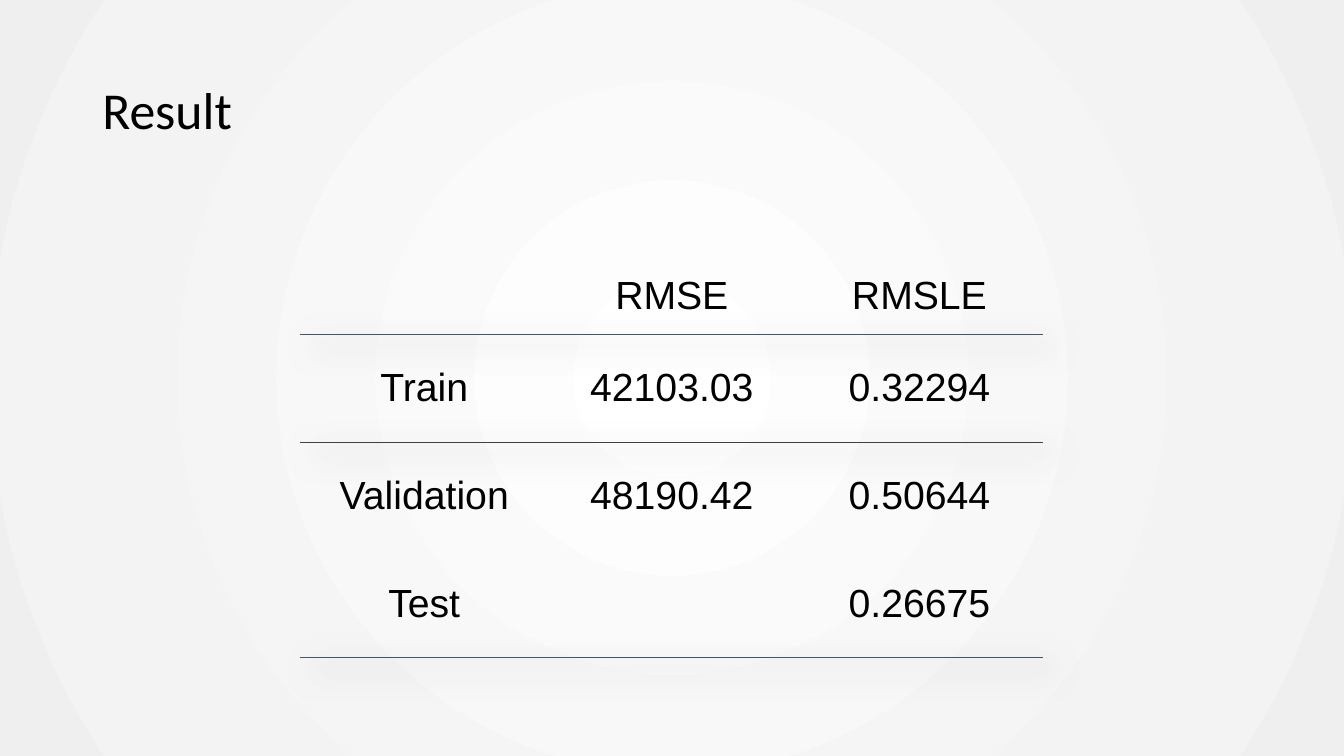
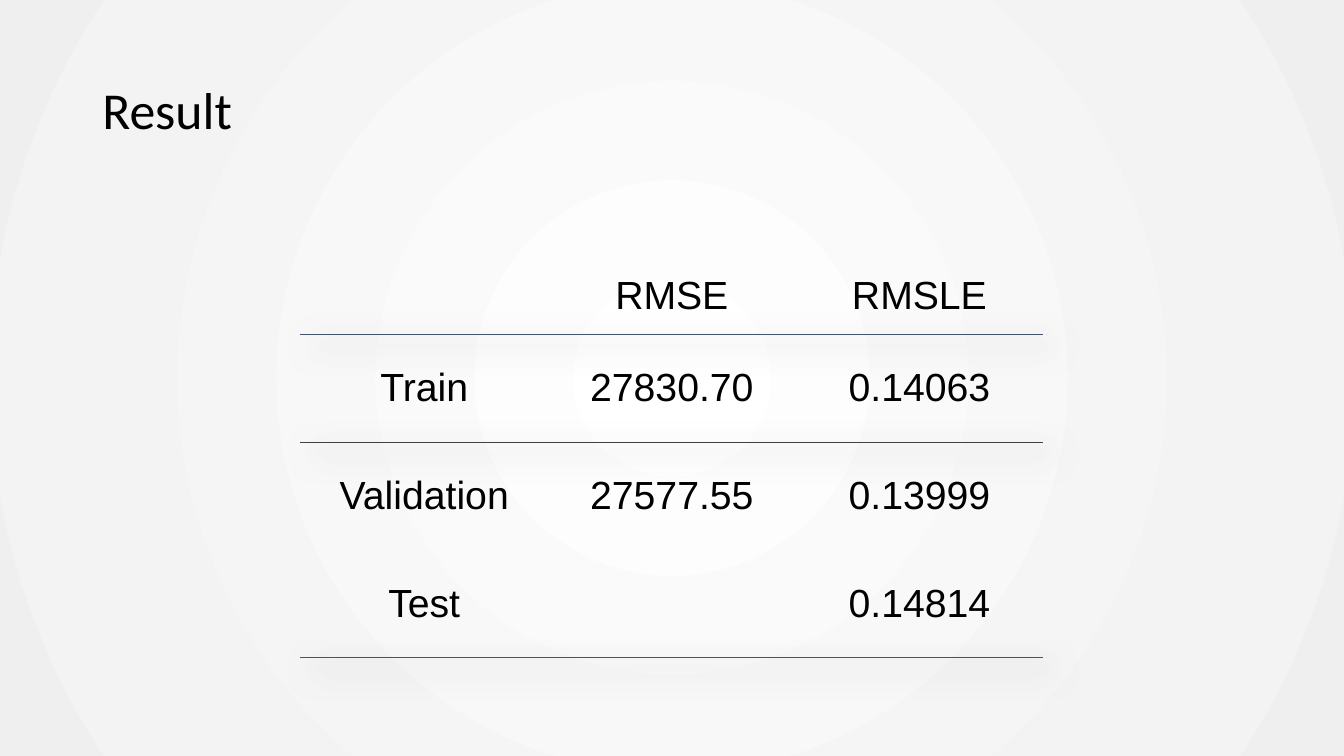
from dataclasses import dataclass

from lxml import etree
from pptx import Presentation
from pptx import util as u
from pptx.dml.color import RGBColor
from pptx.enum import text
from pptx.oxml import ns, parse_xml

# Content
TITLE = "Result"
HEADER = ("", "RMSE", "RMSLE")
RESULTS = [
    [("Train", "42103.03", "0.32294"),
     ("Validation", "48190.42", "0.50644"),
     ("Test", "", "0.26675")],
    [("Train", "27830.70", "0.14063"),
     ("Validation", "27577.55", "0.13999"),
     ("Test", "", "0.14814")],
]


@dataclass(frozen=True)
class Theme:
    ink: str = "000000"
    rule: str = "44546A"
    thin_rule: str = "404040"
    shadow: str = "333333"
    backdrop: tuple = ((0, "FFFFFF"), (77, "F3F3F3"), (100, "EFEFEF"))
    title_font: str = "Calibri"
    title_size: float = 37
    table_font: str = "Arial"
    table_size: float = 28


THEME = Theme()

# Layout
PAGE_SIZE = u.Cm(33.87), u.Cm(19.05)
TITLE_BOX = u.Cm(2.33), u.Cm(1.01), u.Cm(29.21), u.Cm(3.68)
TABLE_LEFT, TABLE_TOP = u.Cm(7.57), u.Cm(6.48)
COLUMN_WIDTH = u.Cm(6.24)
HEADER_HEIGHT, ROW_HEIGHT = u.Cm(1.95), u.Cm(2.71)

# Rules under table rows: row index -> (colour, points)
RULES = {0: (THEME.rule, 1), 1: (THEME.thin_rule, 0.5), 3: (THEME.rule, 1)}
PLAIN_TABLE_STYLE = "{2D5ABB26-0587-4C30-8999-92F81FD0307C}"


def drawing(markup):
    """Parse one DrawingML element whose tag opens the markup."""
    tag, rest = markup[1:].split(" ", 1)
    return parse_xml(f"<{tag} {ns.nsdecls('a')} {rest}")


def write(frame, words, font, size, color=THEME.ink, align=None, spacing=None):
    para = frame.paragraphs[0]
    para.alignment = align
    para.line_spacing = spacing
    span = para.add_run()
    span.text = words
    span.font.name = font
    span.font.size = u.Pt(size)
    span.font.color.rgb = RGBColor.from_string(color)


def set_backdrop(master):
    """Give every slide the radial gradient."""
    master.background.fill.gradient()
    gradient = master.element.find(".//" + ns.qn("a:gradFill"))
    for child in list(gradient):
        gradient.remove(child)
    stops = etree.SubElement(gradient, ns.qn("a:gsLst"))
    for percent, color in THEME.backdrop:
        stop = etree.SubElement(stops, ns.qn("a:gs"), pos=str(percent * 1000))
        etree.SubElement(stop, ns.qn("a:srgbClr"), val=color)
    circle = etree.SubElement(gradient, ns.qn("a:path"), path="circle")
    etree.SubElement(circle, ns.qn("a:fillToRect"),
                     dict.fromkeys("ltrb", "50000"))


def add_title(page):
    box = page.shapes.add_textbox(*TITLE_BOX)
    frame = box.text_frame
    frame.word_wrap = True
    frame.vertical_anchor = text.MSO_ANCHOR.MIDDLE
    write(frame, TITLE, THEME.title_font, THEME.title_size, spacing=0.9)


def style_table(table):
    """Drop the banded style and add the soft shadow."""
    table.first_row = table.horz_banding = False
    properties = table._tbl.tblPr
    properties.find(ns.qn("a:tableStyleId")).text = PLAIN_TABLE_STYLE
    properties.insert(0, drawing(
        '<a:effectLst ><a:outerShdw blurRad="292100" dist="139700" '
        'dir="2700000" algn="tl" rotWithShape="0">'
        f'<a:srgbClr val="{THEME.shadow}"><a:alpha val="65000"/></a:srgbClr>'
        '</a:outerShdw></a:effectLst>'))


def rule_under(cell, color, points):
    cell._tc.get_or_add_tcPr().insert(0, drawing(
        f'<a:lnB w="{u.Pt(points)}"><a:solidFill>'
        f'<a:srgbClr val="{color}"/></a:solidFill></a:lnB>'))


def add_results(page, rows):
    grid = [HEADER, *rows]
    heights = [HEADER_HEIGHT] + [ROW_HEIGHT] * len(rows)
    table = page.shapes.add_table(
        len(grid), len(HEADER), TABLE_LEFT, TABLE_TOP,
        COLUMN_WIDTH * len(HEADER), sum(heights)).table
    style_table(table)
    for column in table.columns:
        column.width = COLUMN_WIDTH
    for r, (values, height) in enumerate(zip(grid, heights)):
        table.rows[r].height = height
        for c, value in enumerate(values):
            cell = table.cell(r, c)
            cell.fill.background()
            cell.vertical_anchor = text.MSO_ANCHOR.MIDDLE
            if value:
                write(cell.text_frame, value, THEME.table_font,
                      THEME.table_size, align=text.PP_ALIGN.CENTER)
            if r in RULES:
                rule_under(cell, *RULES[r])


def main():
    deck = Presentation()
    deck.slide_width, deck.slide_height = PAGE_SIZE
    set_backdrop(deck.slide_master)
    for rows in RESULTS:
        page = deck.slides.add_slide(deck.slide_layouts[6])
        add_title(page)
        add_results(page, rows)
    deck.save("out.pptx")


if __name__ == "__main__":
    main()
